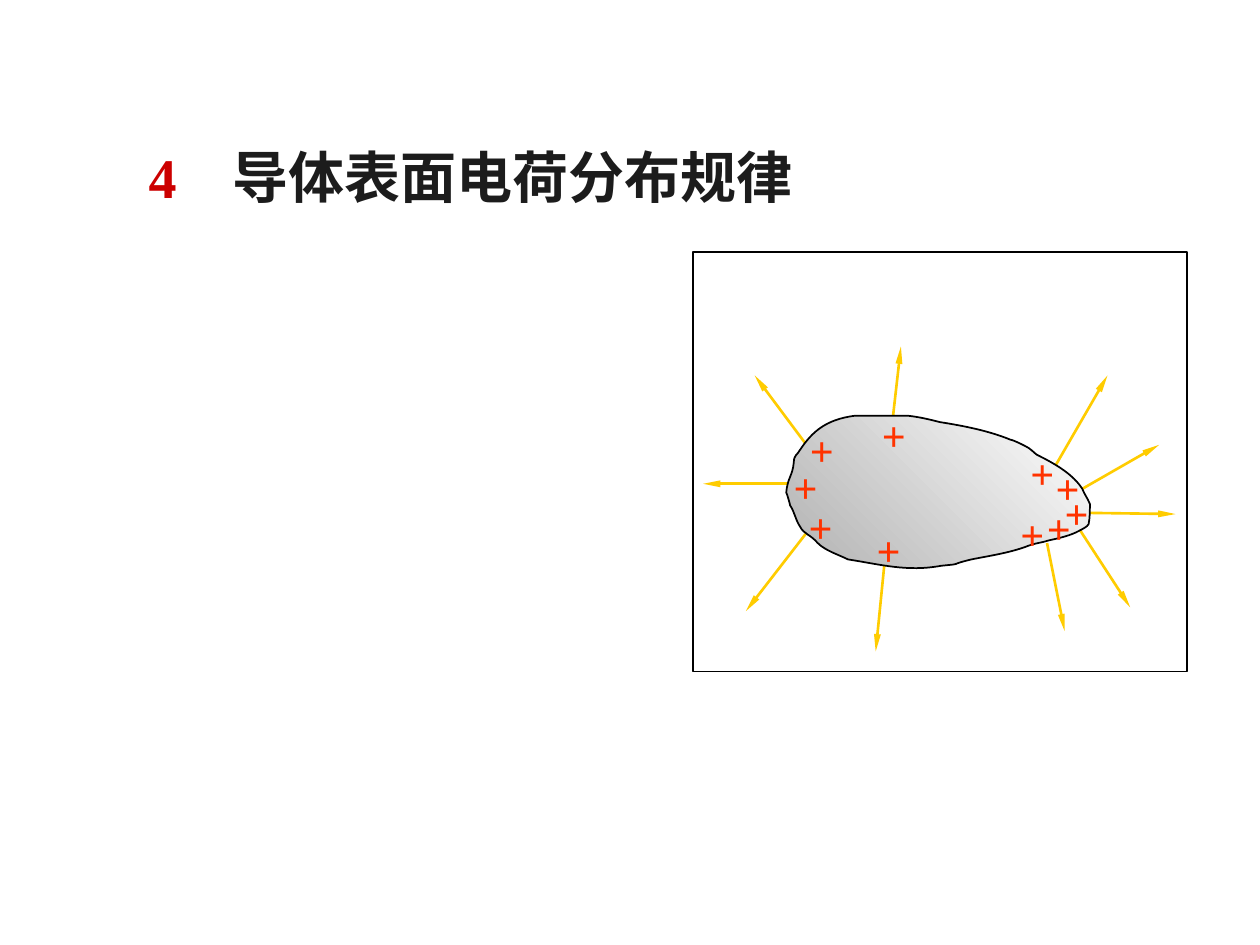
from lxml import etree
from pptx import Presentation
from pptx import util as u
from pptx.dml.color import RGBColor
from pptx.enum import shapes, text
from pptx.oxml.ns import qn

PX = 9144  # 100 px to the inch
FONT = "Times New Roman"


def color(hex_string):
    return RGBColor.from_string(hex_string)


def add_run(paragraph, content, size, hex_string):
    run = paragraph.add_run()
    run.text = content
    run.font.name = FONT
    run.font.size = u.Pt(size)
    run.font.bold = True
    run.font.color.rgb = color(hex_string)


presentation = Presentation()
presentation.slide_width = 1000 * PX
presentation.slide_height = 750 * PX
slide = presentation.slides.add_slide(presentation.slide_layouts[5])

# Title
title = slide.shapes.title
title.left, title.top, title.width, title.height = [n * PX for n in (108, 108, 583, 63)]
frame = title.text_frame
frame.word_wrap = True
frame.auto_size = text.MSO_AUTO_SIZE.SHAPE_TO_FIT_TEXT
frame.vertical_anchor = text.MSO_ANCHOR.TOP
paragraph = frame.paragraphs[0]
paragraph.alignment = text.PP_ALIGN.LEFT
add_run(paragraph, "4", 32, "CC0000")
add_run(paragraph, "　导体表面电荷分布规律", 32, "1C1C1C")

diagram = slide.shapes.add_group_shape().shapes

# Field lines: start x, start y, end x, end y
field_lines = [
    (640, 423, 592, 485), (856, 419, 897, 482), (852, 392, 920, 353),
    (858, 407, 933, 408), (702, 447, 695, 517), (708, 337, 715, 275),
    (640, 353, 599, 298), (627, 384, 558, 384), (831, 431, 845, 501),
    (838, 369, 879, 298),
]
for ends in field_lines:
    arrow = diagram.add_connector(shapes.MSO_CONNECTOR.STRAIGHT, *[n * PX for n in ends])
    arrow.line.color.rgb = color("FFCC00")
    arrow.line.width = u.Pt(1.5)
    outline = arrow.element.spPr.find(qn("a:ln"))
    etree.SubElement(outline, qn("a:tailEnd"), type="triangle", w="sm", len="lg")
    etree.SubElement(arrow.element.spPr, qn("a:effectLst"))

# Conductor: Bezier curves, each with two control points and an end point
start = (624, 391)
curves = [
    ((625, 379), (629, 378), (630, 367)), ((630, 361), (633, 361), (635, 357)),
    ((645, 342), (656, 333), (678, 330)), ((692, 330), (707, 330), (721, 330)),
    ((730, 331), (738, 333), (746, 335)), ((765, 338), (785, 342), (802, 349)),
    ((804, 349), (816, 355), (817, 356)), ((820, 358), (822, 361), (825, 362)),
    ((839, 369), (852, 377), (859, 388)), ((861, 393), (863, 395), (865, 400)),
    ((865, 405), (865, 411), (864, 416)), ((863, 418), (859, 420), (857, 421)),
    ((850, 425), (841, 427), (832, 429)), ((826, 431), (821, 431), (814, 434)),
    ((800, 439), (786, 441), (771, 444)), ((750, 449), (767, 447), (747, 449)),
    ((720, 454), (699, 448), (673, 444)), ((665, 440), (655, 437), (649, 431)),
    ((643, 424), (638, 424), (635, 418)), ((631, 412), (631, 407), (627, 401)),
    ((627, 400), (624, 390), (624, 391)),
]
builder = diagram.build_freeform(*start, scale=PX)
builder.add_line_segments([curve[-1] for curve in curves], close=True)
conductor = builder.convert_to_shape()

# Bend each straight segment with its control points
left, top = conductor.left // PX, conductor.top // PX
segments = list(conductor.element.iter(qn("a:lnTo")))
for segment, curve in zip(segments, curves):
    bend = etree.Element(qn("a:cubicBezTo"))
    for x, y in curve:
        etree.SubElement(bend, qn("a:pt"), x=str(x - left), y=str(y - top))
    segment.getparent().replace(segment, bend)

conductor.shadow.inherit = False
conductor.fill.gradient()
conductor.fill.gradient_angle = 45
for stop, position, shade in zip(conductor.fill.gradient_stops, (0, 1), ("B2B2B2", "FFFFFF")):
    stop.position = position
    stop.color.rgb = color(shade)
conductor.line.color.rgb = color("000000")
conductor.line.width = u.Pt(1)

# Positive charges
charges = [
    (808, 350), (828, 362), (835, 382), (800, 399), (633, 332),
    (620, 361), (632, 393), (690, 320), (686, 411), (821, 394),
]
for left, top in charges:
    charge = diagram.add_textbox(left * PX, top * PX, 39 * PX, 50 * PX)
    charge.text_frame.word_wrap = False
    charge.text_frame.auto_size = text.MSO_AUTO_SIZE.SHAPE_TO_FIT_TEXT
    add_run(charge.text_frame.paragraphs[0], "+", 24, "FF3300")

# Frame around the diagram
border = diagram.add_shape(shapes.MSO_SHAPE.RECTANGLE, 550 * PX, 200 * PX, 392 * PX, 333 * PX)
border.shadow.inherit = False
border.fill.background()
border.line.color.rgb = color("000000")
border.line.width = u.Pt(0.75)

presentation.save("out.pptx")
